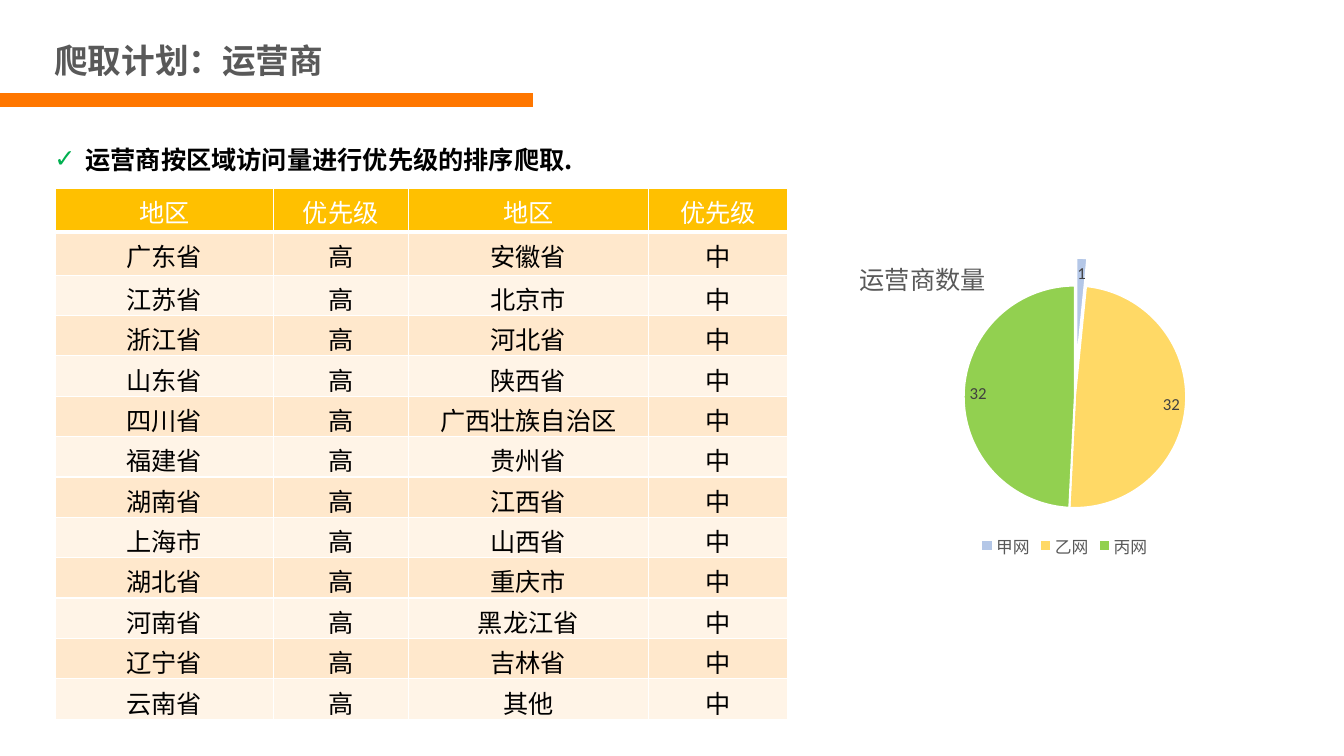
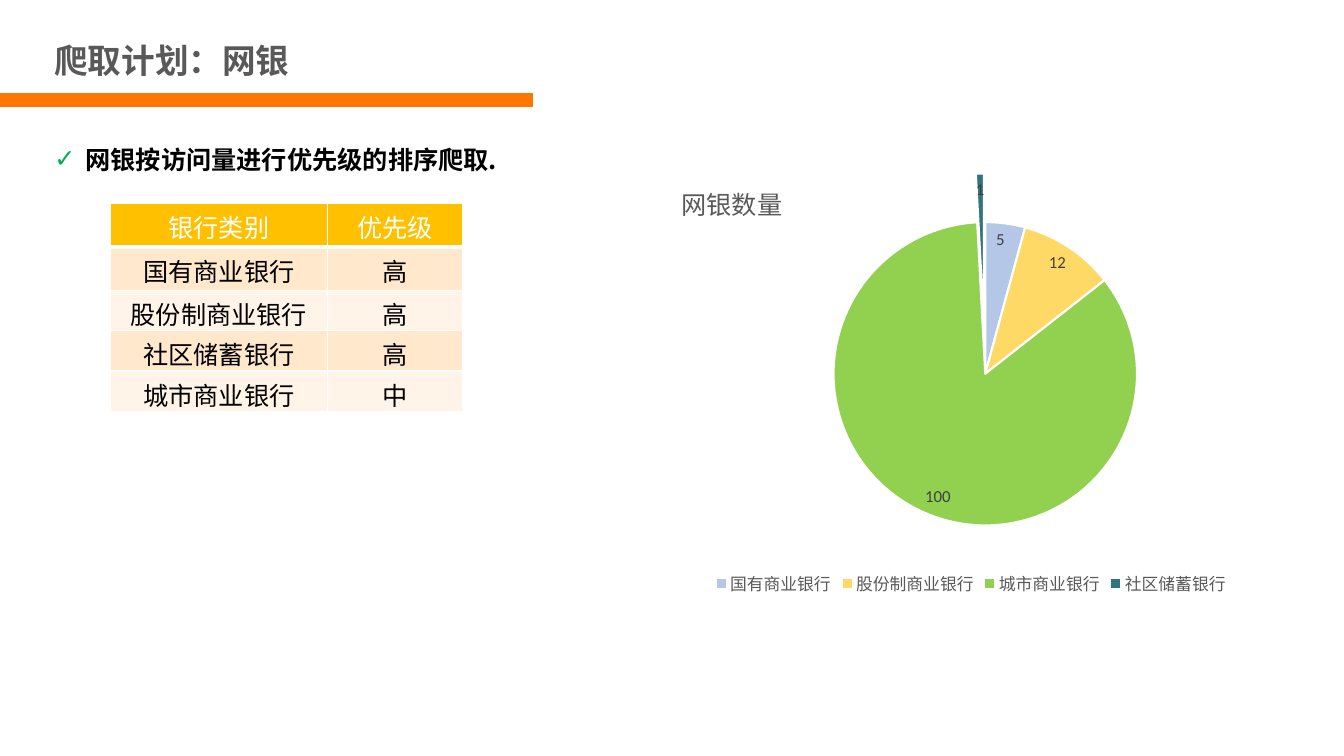
from lxml.etree import SubElement
from pptx import Presentation
from pptx.chart.data import CategoryChartData
from pptx.dml.color import RGBColor
from pptx.enum.chart import XL_CHART_TYPE, XL_LABEL_POSITION, XL_LEGEND_POSITION
from pptx.enum.shapes import MSO_CONNECTOR
from pptx.enum.text import MSO_AUTO_SIZE, PP_ALIGN
from pptx.oxml.ns import qn
from pptx.util import Inches, Pt


def rgb(value):
    return RGBColor.from_string(value)


def add_xml(parent, tag, **attributes):
    return SubElement(parent, qn(tag), attributes)


class Deck:
    CJK = "Noto Sans CJK SC"
    LATIN = "Arial"
    DIGITS = "Calibri"
    WHITE = "FFFFFF"
    BLACK = "000000"
    GREY = "595959"
    LABEL = "404040"
    ORANGE = "FF7700"
    CHECK = "00B050"
    HEADER = "FFC000"
    BANDS = ("FFE8CC", "FFF4E7")
    SLICES = ("B4C7E7", "FFD966", "92D050", "2E7580")
    PLOT = {"x": 0.214, "y": 0.16, "w": 0.616, "h": 0.675}
    CHART_TITLE = {"x": 0.05, "y": 0.06}

    def __init__(self):
        self.prs = Presentation()
        self.prs.slide_width = Inches(13.33)
        self.prs.slide_height = Inches(7.5)
        self.slide = None

    def start(self, title, point):
        self.slide = self.prs.slides.add_slide(self.prs.slide_layouts[6])
        self.title(title)
        self.band()
        self.check_point(point)

    def style(self, font, size, color, name, bold=False):
        font.size = Pt(size)
        font.color.rgb = rgb(color)
        font.name = name
        font.bold = bold

    def run(self, paragraph, text, size, color, name=CJK, bold=False):
        run = paragraph.add_run()
        run.text = text
        self.style(run.font, size, color, name, bold)
        add_xml(run.font._element, "a:ea", typeface=self.CJK)

    def paragraph_box(self, left, top, width, height):
        frame = self.slide.shapes.add_textbox(
            Inches(left), Inches(top), Inches(width), Inches(height)).text_frame
        frame.word_wrap = True
        frame.auto_size = MSO_AUTO_SIZE.SHAPE_TO_FIT_TEXT
        return frame.paragraphs[0]

    def title(self, text):
        heading = self.paragraph_box(0.44, 0.35, 8.85, 0.5)
        self.run(heading, text, 24, self.GREY, self.LATIN, True)

    def band(self):
        band = self.slide.shapes.add_connector(
            MSO_CONNECTOR.STRAIGHT, 0, Inches(0.99), Inches(5.29), Inches(0.99))
        band.line.color.rgb = rgb(self.ORANGE)
        band.line.width = Pt(10)
        add_xml(band._element.spPr, "a:effectLst")

    def check_point(self, text):
        point = self.paragraph_box(0.44, 1.08, 12.21, 0.71)
        point.line_spacing = 2.0
        props = point._p.get_or_add_pPr()
        props.set("marL", str(Inches(0.31)))
        props.set("indent", str(-Inches(0.31)))
        add_xml(add_xml(props, "a:buClr"), "a:srgbClr", val=self.CHECK)
        add_xml(props, "a:buFont", typeface=self.LATIN)
        add_xml(props, "a:buChar", char="✓")
        self.run(point, text, 18, self.BLACK, bold=True)

    def borders(self, cell, top, bottom):
        props = cell._tc.get_or_add_tcPr()
        for side, width in zip("LRTB", (1, 1, top, bottom)):
            edge = add_xml(props, f"a:ln{side}", w=str(Pt(width)))
            add_xml(add_xml(edge, "a:solidFill"), "a:srgbClr", val=self.WHITE)

    def table(self, left, top, widths, rows):
        heights = [0.43, 0.43] + [0.4] * (len(rows) - 2)
        table = self.slide.shapes.add_table(
            len(rows), len(widths), Inches(left), Inches(top),
            Inches(sum(widths)), Inches(sum(heights))).table
        for column, width in zip(table.columns, widths):
            column.width = Inches(width)
        for r, (values, height) in enumerate(zip(rows, heights)):
            table.rows[r].height = Inches(height)
            fill = self.BANDS[(r - 1) % 2] if r else self.HEADER
            color = self.BLACK if r else self.WHITE
            for c, value in enumerate(values):
                cell = table.cell(r, c)
                self.borders(cell, 3 if r == 1 else 1, 1 if r else 3)
                cell.fill.solid()
                cell.fill.fore_color.rgb = rgb(fill)
                paragraph = cell.text_frame.paragraphs[0]
                paragraph.alignment = PP_ALIGN.CENTER
                self.run(paragraph, value, 18, color)

    def place(self, parent, index, spot, inner=False):
        for old in parent.findall(qn("c:layout")):
            parent.remove(old)
        layout = add_xml(parent, "c:layout")
        parent.insert(index, layout)
        manual = add_xml(layout, "c:manualLayout")
        if inner:
            add_xml(manual, "c:layoutTarget", val="inner")
        for axis in "xy":
            add_xml(manual, f"c:{axis}Mode", val="edge")
        for key, value in spot.items():
            add_xml(manual, f"c:{key}", val=str(value))

    def pie(self, box, title, shares, exploded, explosion, shown=None):
        data = CategoryChartData()
        data.categories = list(shares)
        data.add_series(title, list(shares.values()))
        chart = self.slide.shapes.add_chart(
            XL_CHART_TYPE.PIE, *map(Inches, box), data).chart
        self.style(chart.font, 10, self.BLACK, self.DIGITS)
        chart.has_title = True
        heading = chart.chart_title.text_frame.paragraphs[0]
        self.run(heading, title, 18, self.GREY)
        self.place(chart.chart_title._element, 1, self.CHART_TITLE)
        self.place(next(chart.element.iter(qn("c:plotArea"))), 0, self.PLOT, True)
        chart.has_legend = True
        chart.legend.position = XL_LEGEND_POSITION.BOTTOM
        chart.legend.include_in_layout = False
        self.style(chart.legend.font, 12, self.GREY, self.CJK)
        chart.plots[0].vary_by_categories = True
        series = chart.plots[0].series[0]
        for index, color in zip(range(len(shares)), self.SLICES):
            look = series.points[index].format
            look.fill.solid()
            look.fill.fore_color.rgb = rgb(color)
            look.line.color.rgb = rgb(self.WHITE)
            look.line.width = Pt(1.5)
        slice_xml = list(chart.element.iter(qn("c:dPt")))[exploded]
        offset = add_xml(slice_xml, "c:explosion", val=str(explosion))
        slice_xml.find(qn("c:spPr")).addprevious(offset)
        labels = series.data_labels
        labels.show_value = True
        labels.position = XL_LABEL_POSITION.INSIDE_END
        self.style(labels.font, 12, self.LABEL, self.DIGITS)
        for index, text in (shown or {}).items():
            label = series.points[index].data_label
            self.run(label.text_frame.paragraphs[0], text, 12, self.LABEL, self.DIGITS)
            label.position = XL_LABEL_POSITION.INSIDE_END


def main():
    deck = Deck()

    deck.start("爬取计划：运营商", "运营商按区域访问量进行优先级的排序爬取.")
    high = ("广东省", "江苏省", "浙江省", "山东省", "四川省", "福建省",
            "湖南省", "上海市", "湖北省", "河南省", "辽宁省", "云南省")
    medium = ("安徽省", "北京市", "河北省", "陕西省", "广西壮族自治区", "贵州省",
              "江西省", "山西省", "重庆市", "黑龙江省", "吉林省", "其他")
    regions = [("地区", "优先级") * 2]
    regions += [(first, "高", second, "中") for first, second in zip(high, medium)]
    deck.table(0.55, 1.87, (2.16, 1.34, 2.38, 1.38), regions)
    deck.pie((8.25, 2.31, 4.62, 3.27), "运营商数量",
             {"甲网": 1, "乙网": 31, "丙网": 31},
             exploded=0, explosion=25, shown={1: "32", 2: "32"})

    deck.start("爬取计划：网银", "网银按访问量进行优先级的排序爬取.")
    deck.table(1.09, 2.02, (2.16, 1.34), [
        ("银行类别", "优先级"),
        ("国有商业银行", "高"),
        ("股份制商业银行", "高"),
        ("社区储蓄银行", "高"),
        ("城市商业银行", "中"),
    ])
    deck.pie((6.39, 1.49, 6.48, 4.46), "网银数量",
             {"国有商业银行": 5, "股份制商业银行": 12,
              "城市商业银行": 100, "社区储蓄银行": 1},
             exploded=3, explosion=32)

    deck.prs.save("out.pptx")


if __name__ == "__main__":
    main()
